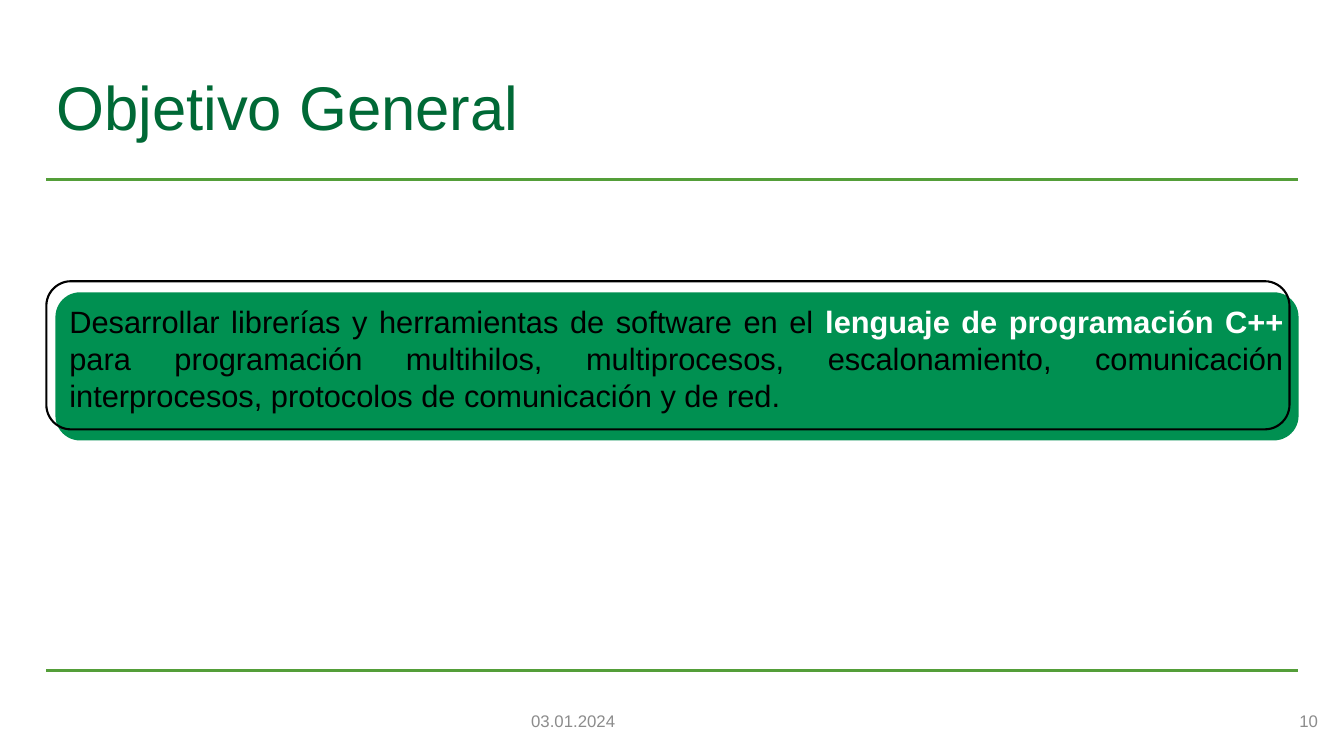
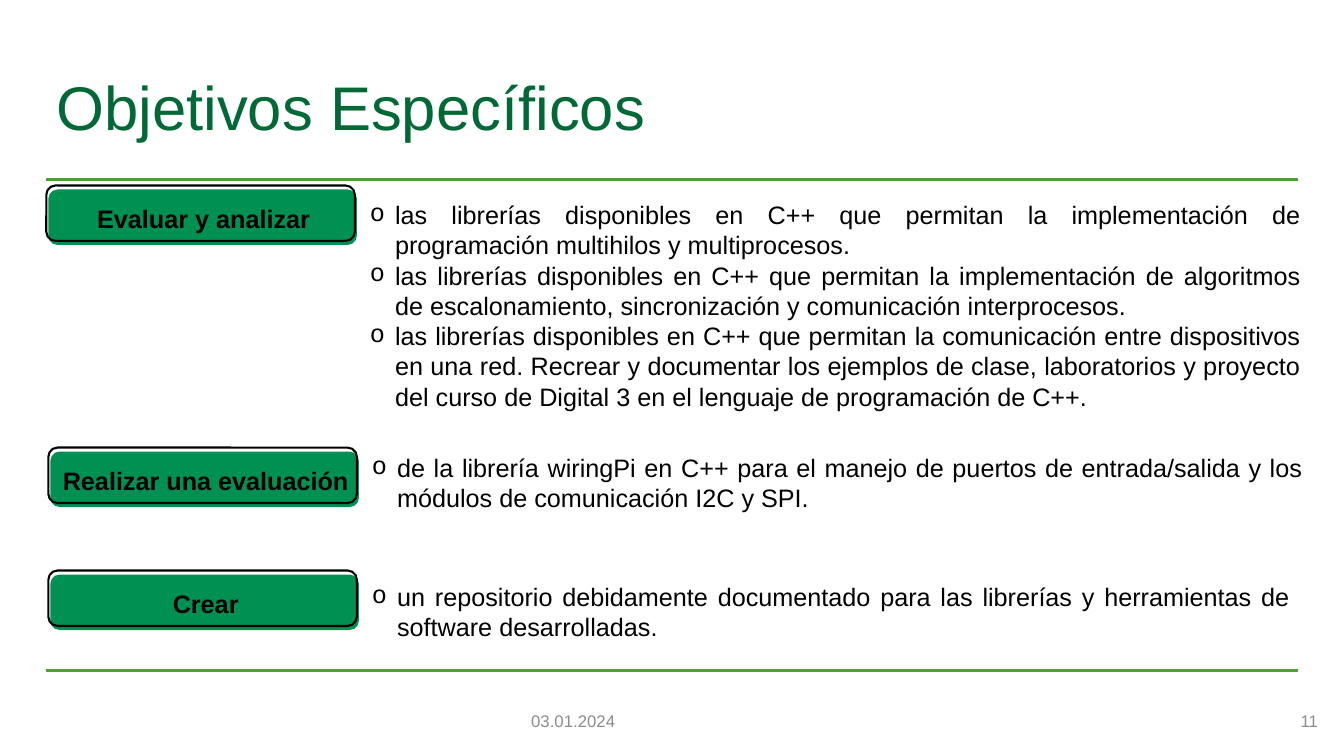
"""Build two slides with the general and specific objectives of a C++ project."""
from dataclasses import dataclass
from typing import Any

import lxml.etree
import pptx
import pptx.dml.color
import pptx.enum.shapes
import pptx.enum.text
import pptx.oxml.ns
import pptx.util

Inches = pptx.util.Inches
Pt = pptx.util.Pt
Align = pptx.enum.text.PP_ALIGN
Anchor = pptx.enum.text.MSO_ANCHOR

COLORS = {
    "title": "006936",
    "rule": "549E39",
    "panel": "009051",
    "text": "000000",
    "emphasis": "FFFFFF",
    "footer": "8C8C8C",
}
FONT = "Arial"
BULLET_FONT = "Courier New"
MARGIN = 0.46
CONTENT_WIDTH = 12.41
RULE_TOPS = (1.78, 6.65)
FOOTER_TOP = 6.95
FOOTER_SIZE = (3, 0.4)
DATE = "03.01.2024"


@dataclass(frozen=True)
class Box:
    left: float
    top: float
    width: float
    height: float

    def lengths(self) -> tuple[int, ...]:
        return tuple(Inches(v) for v in (self.left, self.top, self.width, self.height))

    def shifted(self, right: float, down: float) -> "Box":
        return Box(self.left + right, self.top + down, self.width, self.height)


@dataclass(frozen=True)
class Style:
    size: float
    color: str = "text"
    bold: bool = False
    align: Any = Align.LEFT
    anchor: Any = Anchor.TOP
    line_spacing: float | None = None
    space_before: float = 0
    bulleted: bool = False


@dataclass(frozen=True)
class Objective:
    verb: str
    panel: Box
    details: Box
    items: tuple[str, ...]


TITLE = Style(44, "title", anchor=Anchor.MIDDLE, line_spacing=0.9)
FOOTER_DATE = Style(12, "footer", anchor=Anchor.MIDDLE)
FOOTER_NUMBER = Style(12, "footer", align=Align.RIGHT, anchor=Anchor.MIDDLE)
STATEMENT = Style(22, align=Align.JUSTIFY)
VERB = Style(18, bold=True, align=Align.CENTER, line_spacing=1.2, space_before=10)
DETAIL = Style(18, align=Align.JUSTIFY, bulleted=True)

GENERAL = (
    "Desarrollar librerías y herramientas de software en el ",
    "lenguaje de programación C++",
    " para programación multihilos, multiprocesos, escalonamiento, comunicación "
    "interprocesos, protocolos de comunicación y de red.",
)
OBJECTIVES = (
    Objective("Evaluar y analizar", Box(0.46, 1.84, 3.06, 0.55), Box(3.57, 1.93, 9.43, 2.74), (
        "las librerías disponibles en C++ que permitan la implementación de "
        "programación multihilos y multiprocesos.",
        "las librerías disponibles en C++ que permitan la implementación de algoritmos "
        "de escalonamiento, sincronización y comunicación interprocesos.",
        "las librerías disponibles en C++ que permitan la comunicación entre dispositivos "
        "en una red. Recrear y documentar los ejemplos de clase, laboratorios y proyecto "
        "del curso de Digital 3 en el lenguaje de programación de C++.",
    )),
    Objective("Realizar una evaluación", Box(0.48, 4.44, 3.06, 0.55), Box(3.59, 4.44, 9.43, 0.88), (
        "de la librería wiringPi en C++ para el manejo de puertos de entrada/salida y los "
        "módulos de comunicación I2C y SPI.",
    )),
    Objective("Crear", Box(0.48, 5.66, 3.06, 0.55), Box(3.59, 5.72, 9.3, 0.71), (
        "un repositorio debidamente documentado para las librerías y herramientas de "
        "software desarrolladas.",
    )),
)


def rgb(name: str) -> Any:
    return pptx.dml.color.RGBColor.from_string(COLORS[name])


def format_run(run: Any, style: Style) -> None:
    run.font.name = FONT
    run.font.size = Pt(style.size)
    run.font.bold = style.bold
    run.font.color.rgb = rgb(style.color)


def add_bullet(paragraph: Any) -> None:
    properties = paragraph._p.get_or_add_pPr()
    properties.set("marL", str(Inches(0.25)))
    properties.set("indent", str(-Inches(0.25)))
    qn = pptx.oxml.ns.qn
    lxml.etree.SubElement(properties, qn("a:buFont")).set("typeface", BULLET_FONT)
    lxml.etree.SubElement(properties, qn("a:buChar")).set("char", "o")


def add_text(slide: Any, box: Box, text: str, style: Style) -> Any:
    frame = slide.shapes.add_textbox(*box.lengths()).text_frame
    frame.word_wrap = True
    frame.vertical_anchor = style.anchor
    frame.text = text
    for paragraph in frame.paragraphs:
        paragraph.alignment = style.align
        paragraph.line_spacing = style.line_spacing
        paragraph.space_before = Pt(style.space_before)
        if style.bulleted:
            add_bullet(paragraph)
        for run in paragraph.runs:
            format_run(run, style)
    return frame


def add_rule(slide: Any, top: float) -> None:
    rule = slide.shapes.add_connector(
        pptx.enum.shapes.MSO_CONNECTOR.STRAIGHT,
        Inches(MARGIN), Inches(top), Inches(MARGIN + CONTENT_WIDTH), Inches(top),
    )
    rule.line.color.rgb = rgb("rule")
    rule.line.width = Pt(2)
    lxml.etree.SubElement(rule._element.spPr, pptx.oxml.ns.qn("a:effectLst"))


def add_rounded(slide: Any, box: Box) -> Any:
    rounded = slide.shapes.add_shape(
        pptx.enum.shapes.MSO_SHAPE.ROUNDED_RECTANGLE, *box.lengths()
    )
    rounded.shadow.inherit = False
    return rounded


def add_panel(slide: Any, box: Box, right: float, down: float) -> None:
    backing = add_rounded(slide, box.shifted(right, down))
    backing.fill.solid()
    backing.fill.fore_color.rgb = rgb("panel")
    backing.line.fill.background()
    outline = add_rounded(slide, box)
    outline.fill.background()
    outline.line.color.rgb = rgb("text")
    outline.line.width = Pt(1.5)


def add_page(deck: Any, title: str, number: int) -> Any:
    slide = deck.slides.add_slide(deck.slide_layouts[6])
    for top in RULE_TOPS:
        add_rule(slide, top)
    add_text(slide, Box(MARGIN, 0.41, CONTENT_WIDTH, 1.37), title, TITLE)
    add_text(slide, Box(5.17, FOOTER_TOP, *FOOTER_SIZE), DATE, FOOTER_DATE)
    add_text(slide, Box(10.17, FOOTER_TOP, *FOOTER_SIZE), str(number), FOOTER_NUMBER)
    return slide


def build_general(deck: Any) -> None:
    slide = add_page(deck, "Objetivo General", 10)
    add_panel(slide, Box(MARGIN, 2.79, 12.33, 1.47), 0.09, 0.11)
    opening, language, scope = GENERAL
    statement = add_text(slide, Box(0.59, 2.95, 12.24, 1.21), opening, STATEMENT).paragraphs[0]
    emphasis = Style(STATEMENT.size, "emphasis", bold=True)
    for text, style in ((language, emphasis), (scope, STATEMENT)):
        run = statement.add_run()
        run.text = text
        format_run(run, style)


def build_specific(deck: Any) -> None:
    slide = add_page(deck, "Objetivos Específicos", 11)
    for objective in OBJECTIVES:
        panel = objective.panel
        add_panel(slide, panel, 0.02, 0.04)
        label = Box(panel.left + 0.02, panel.top + 0.07, 3.08, 0.42)
        add_text(slide, label, objective.verb, VERB)
        add_text(slide, objective.details, "\n".join(objective.items), DETAIL)


def main() -> None:
    deck = pptx.Presentation()
    deck.slide_width = Inches(13.33)
    deck.slide_height = Inches(7.5)
    build_general(deck)
    build_specific(deck)
    deck.save("out.pptx")


if __name__ == "__main__":
    main()
